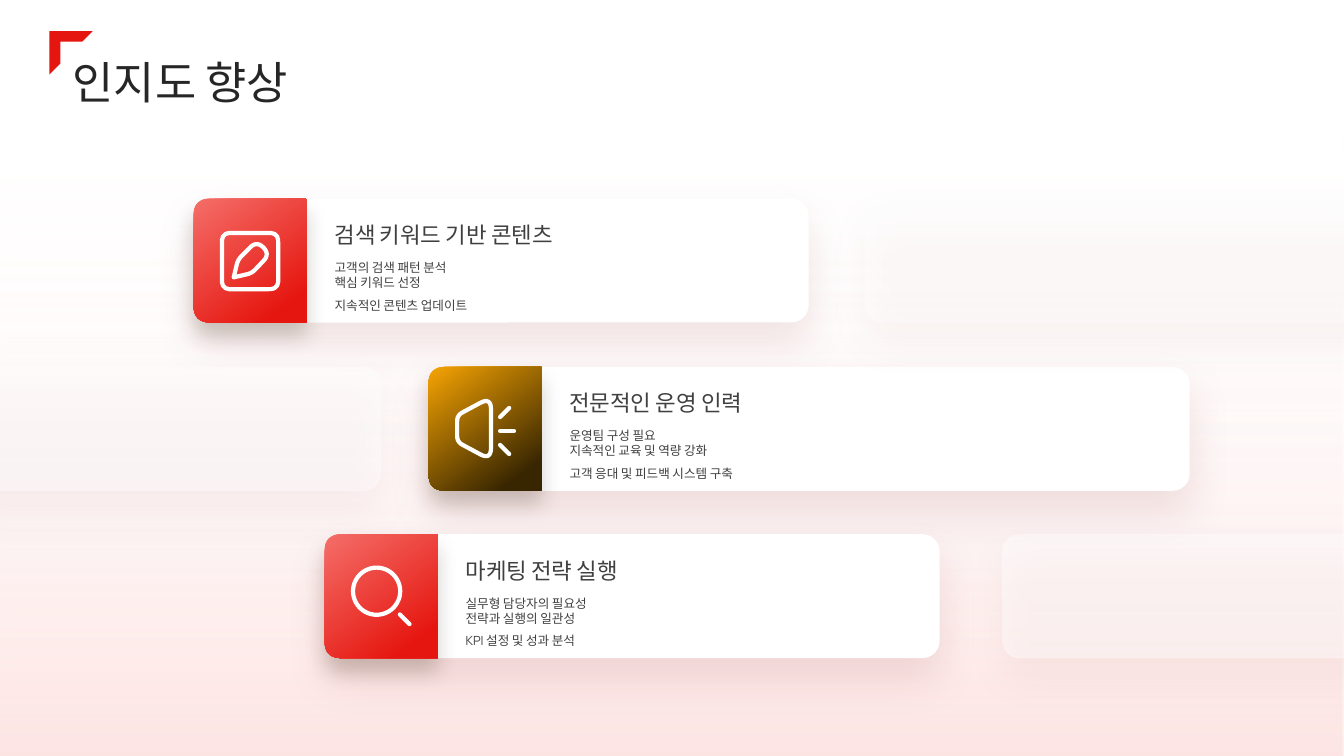
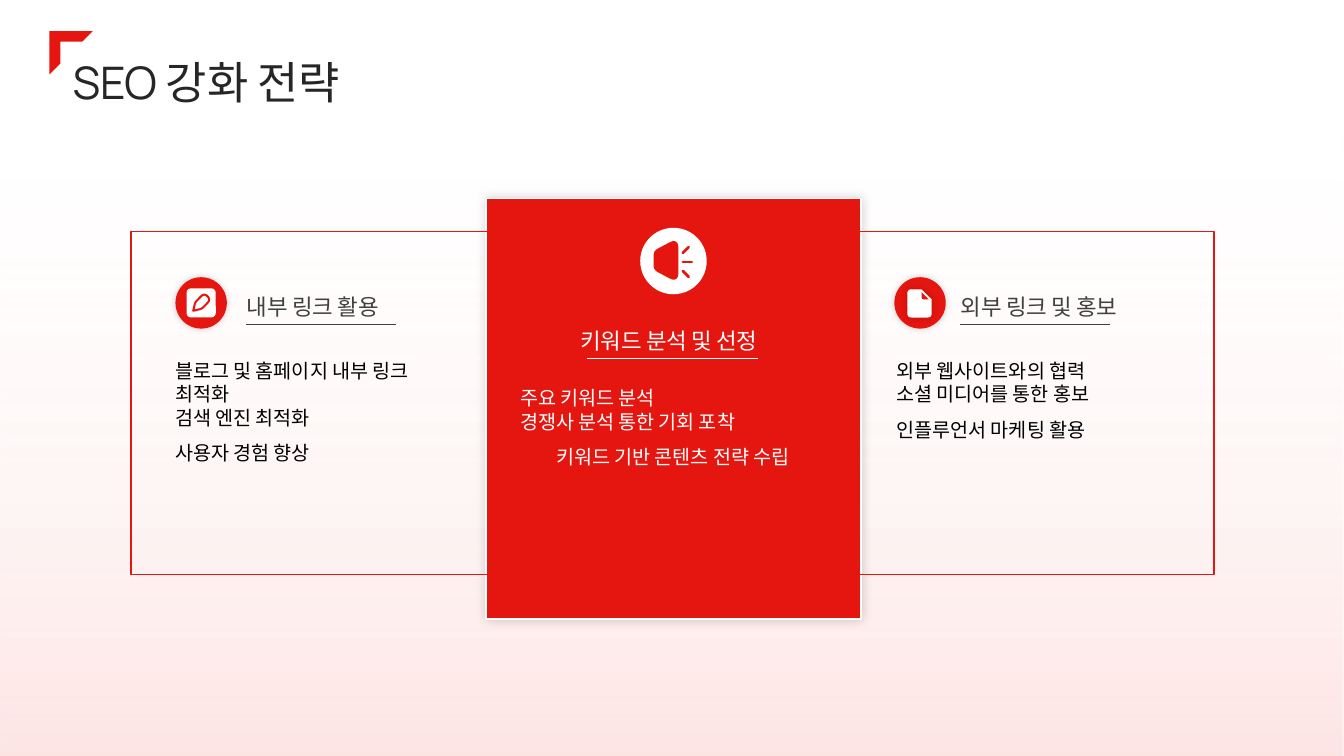
from dataclasses import dataclass
from typing import Callable, Optional

import pptx
import pptx.dml.color
import pptx.enum.shapes
import pptx.enum.text
import pptx.oxml
import pptx.oxml.ns
import pptx.presentation
import pptx.shapes.autoshape
import pptx.slide
import pptx.util
from lxml import etree

Inches = pptx.util.Inches
Shape = pptx.shapes.autoshape.Shape
Slide = pptx.slide.Slide
Preset = pptx.enum.shapes.MSO_SHAPE
Anchor = pptx.enum.text.MSO_ANCHOR
Align = pptx.enum.text.PP_ALIGN
qn = pptx.oxml.ns.qn

FONT = "Manrope"
WIDTH, HEIGHT = 13.33, 7.5
RED, WHITE, BLACK, GRAY, TITLE_COLOR = "E5160F", "FFFFFF", "000000", "404040", "262626"
ROSE = ("F56E69", RED)
AMBER = ("F6A403", "382601")
CARD_HEIGHT, CARD_ROUNDING = 1.23, 0.138
TILE_WIDTH, TILE_RADIUS = 1.12, 0.17


@dataclass(frozen=True)
class Shadow:
    color: str
    opacity: int
    blur: float
    distance: float = 0


@dataclass(frozen=True)
class Card:
    left: float
    top: float
    width: float
    heading: str
    lines: tuple[str, ...]
    tile: tuple[str, str]
    icon: Callable[..., None]
    icon_top: float


@dataclass(frozen=True)
class Panel:
    heading: str
    heading_box: tuple[float, float, float, float]
    lines: tuple[str, ...]
    body_box: tuple[float, float, float, float]
    rule_left: float
    rule_width: float
    heading_color: str = GRAY
    body_color: str = BLACK
    align: Align = Align.LEFT


CARD_SHADOW = Shadow("720B08", 10, 30, 15)
TILE_SHADOW = Shadow("261900", 20, 15, 10)
PANEL_SHADOW = Shadow(BLACK, 20, 8)
BADGE_SHADOW = Shadow(BLACK, 20, 5)


def rgb(color: str) -> pptx.dml.color.RGBColor:
    return pptx.dml.color.RGBColor.from_string(color)


def set_opacity(color_element: etree._Element, percent: float) -> None:
    alpha = etree.SubElement(color_element, qn("a:alpha"))
    alpha.set("val", str(round(percent * 1000)))


def style(shape: Shape, fill: Optional[str] = None, line: Optional[str] = None,
          weight: float = 1, shadow: Optional[Shadow] = None, opacity: float = 100) -> Shape:
    if fill:
        shape.fill.solid()
        shape.fill.fore_color.rgb = rgb(fill)
        if opacity < 100:
            set_opacity(shape._element.spPr.find(qn("a:solidFill"))[0], opacity)
    else:
        shape.fill.background()
    if line:
        shape.line.color.rgb = rgb(line)
        shape.line.width = pptx.util.Pt(weight)
    else:
        shape.line.fill.background()
    shape.shadow.inherit = False
    if shadow:
        effects = shape._element.spPr.find(qn("a:effectLst"))
        outer = etree.SubElement(effects, qn("a:outerShdw"), {
            "blurRad": str(pptx.util.Pt(shadow.blur)), "dist": str(pptx.util.Pt(shadow.distance)),
            "dir": "5400000", "algn": "ctr", "rotWithShape": "0"})
        color = etree.SubElement(outer, qn("a:srgbClr"), val=shadow.color)
        set_opacity(color, shadow.opacity)
    return shape


def set_gradient(shape: Shape, colors: tuple[str, str], end: float, angle: float,
                 opacities: tuple[int, int] = (100, 100)) -> None:
    """Linear gradient whose second colour is reached at end; angle is counter-clockwise."""
    shape.fill.gradient()
    shape.fill.gradient_angle = angle
    stops = shape.fill.gradient_stops
    for stop, color, position in zip(stops, colors, (0, end)):
        stop.color.rgb = rgb(color)
        stop.position = position
    gradient = shape._element.spPr.find(qn("a:gradFill"))
    for element, opacity in zip(gradient.iter(qn("a:srgbClr")), opacities):
        if opacity < 100:
            set_opacity(element, opacity)


def add_preset(slide: Slide, preset: Preset, left: float, top: float, width: float,
               height: float, adjustments: tuple[float, ...] = (), **look) -> Shape:
    shape = slide.shapes.add_shape(preset, Inches(left), Inches(top), Inches(width), Inches(height))
    for index, value in enumerate(adjustments):
        shape.adjustments[index] = value
    return style(shape, **look)


def add_outline(slide: Slide, left: float, top: float, size: float,
                corners: list[tuple[float, float, float]], **look) -> Shape:
    """Closed outline through (x, y, rounding) corners, in units of size."""
    points = []
    for index, (x, y, rounding) in enumerate(corners):
        if not rounding:
            points.append((x, y))
            continue
        ends = []
        for other_x, other_y, _ in (corners[index - 1], corners[(index + 1) % len(corners)]):
            share = rounding / ((other_x - x) ** 2 + (other_y - y) ** 2) ** 0.5
            ends.append((x + (other_x - x) * share, y + (other_y - y) * share))
        (ax, ay), (bx, by) = ends
        for step in range(9):
            t = step / 8
            a, c, b = (1 - t) ** 2, 2 * t * (1 - t), t ** 2
            points.append((a * ax + c * x + b * bx, a * ay + c * y + b * by))
    emu = [(Inches(left + x * size), Inches(top + y * size)) for x, y in points]
    builder = slide.shapes.build_freeform(*emu[0])
    builder.add_line_segments(emu[1:], close=True)
    return style(builder.convert_to_shape(), **look)


def add_line(slide: Slide, start: tuple[float, float], end: tuple[float, float],
             color: str, weight: float, cap: str = "flat") -> None:
    line = slide.shapes.add_connector(
        pptx.enum.shapes.MSO_CONNECTOR.STRAIGHT, *map(Inches, start + end))
    line.line.color.rgb = rgb(color)
    line.line.width = pptx.util.Pt(weight)
    properties = line._element.spPr
    properties.find(qn("a:ln")).set("cap", cap)
    etree.SubElement(properties, qn("a:effectLst"))


def format_paragraph(para, size: float, color: str, spacing: float, align: Align) -> None:
    para.alignment = align
    para.line_spacing = spacing
    for run in para.runs:
        run.font.size = pptx.util.Pt(size)
        run.font.name = FONT
        run.font.color.rgb = rgb(color)
        etree.SubElement(run.font._element, qn("a:ea"), typeface=FONT)


def add_text(slide: Slide, box: tuple[float, float, float, float], lines: tuple[str, ...],
             size: float, color: str, anchor: Anchor, spacing: float,
             align: Align = Align.LEFT) -> None:
    """Only the last line takes the wide spacing and the alignment."""
    frame = slide.shapes.add_textbox(*map(Inches, box)).text_frame
    frame.word_wrap = True
    frame.vertical_anchor = anchor
    frame.text = "\n".join(lines)
    *leading, last = frame.paragraphs
    for para in leading:
        format_paragraph(para, size, color, 1.0, Align.LEFT)
    format_paragraph(last, size, color, spacing, align)


def draw_pen(slide: Slide, left: float, top: float, size: float, ink: str,
             fill: Optional[str] = None) -> None:
    inset, weight = 0.035 * size, 5 * size
    inner = size - 2 * inset
    add_preset(slide, Preset.ROUNDED_RECTANGLE, left + inset, top + inset, inner, inner, (0.13,),
               fill=fill, line=fill or ink, weight=weight)
    nib = [(0.23, 0.77, 0), (0.3, 0.48, 0.08), (0.61, 0.165, 0.155),
           (0.83, 0.385, 0.155), (0.53, 0.7, 0.08)]
    add_outline(slide, left, top, size, nib, line=ink, weight=weight)


def draw_megaphone(slide: Slide, left: float, top: float, size: float, ink: str,
                   fill: Optional[str] = None) -> None:
    weight = 5 * size
    body = [(0.04, 0.25, 0.1), (0.6, -0.05, 0.2), (0.6, 0.99, 0.2), (0.04, 0.69, 0.1)]
    add_outline(slide, left, top, size, body, fill=fill, line=ink, weight=weight)
    for x1, y1, x2, y2 in ((0.75, 0.28, 0.9, 0.13), (0.75, 0.51, 0.98, 0.51),
                           (0.75, 0.74, 0.9, 0.89)):
        add_line(slide, (left + x1 * size, top + y1 * size),
                 (left + x2 * size, top + y2 * size), ink, weight, "rnd")


def draw_magnifier(slide: Slide, left: float, top: float, size: float, ink: str) -> None:
    weight = 5 * size
    inset, lens = 0.035 * size, 0.78 * size
    add_preset(slide, Preset.OVAL, left + inset, top + inset, lens, lens, line=ink, weight=weight)
    near, far = 0.81 * size, 0.97 * size
    add_line(slide, (left + near, top + near), (left + far, top + far), ink, weight, "rnd")


def draw_page(slide: Slide, left: float, top: float, size: float, ink: str, fill: str) -> None:
    sheet = [(0, 0, 0.15), (0.5, 0, 0), (0.86, 0.36, 0), (0.86, 1, 0.15), (0, 1, 0.15)]
    fold = [(0.5, 0.1, 0), (0.5, 0.36, 0.1), (0.76, 0.36, 0)]
    add_outline(slide, left, top, size, sheet, fill=fill, shadow=BADGE_SHADOW)
    add_outline(slide, left, top, size, fold, fill=ink)


def new_slide(deck: pptx.presentation.Presentation, title: str) -> Slide:
    slide = deck.slides.add_slide(deck.slide_layouts.get_by_name("Title Only"))
    wash = add_preset(slide, Preset.RECTANGLE, 0, 0, WIDTH, HEIGHT)
    set_gradient(wash, ("FCCFCD", WHITE), 0.88, 90, (54, 0))
    add_preset(slide, Preset.HALF_FRAME, 0.49, 0.31, 0.43, 0.43, (0.239, 0.252), fill=RED)
    box = slide.shapes.title
    box.left, box.top, box.width, box.height = map(Inches, (0.72, 0.53, 11.88, 0.51))
    frame = box.text_frame
    frame.text = title
    frame.word_wrap = True
    frame.auto_size = pptx.enum.text.MSO_AUTO_SIZE.NONE
    frame.vertical_anchor = Anchor.MIDDLE
    frame.margin_left = frame.margin_right = frame.margin_top = frame.margin_bottom = 0
    format_paragraph(frame.paragraphs[0], 32, TITLE_COLOR, 1.1, Align.LEFT)
    slide.shapes._spTree.append(box._element)
    return slide


def add_card_base(slide: Slide, left: float, top: float, width: float, opacity: float) -> None:
    add_preset(slide, Preset.ROUNDED_RECTANGLE, left, top, width, CARD_HEIGHT, (CARD_ROUNDING,),
               fill=WHITE, opacity=opacity, shadow=CARD_SHADOW)


def add_card(slide: Slide, card: Card) -> None:
    add_card_base(slide, card.left, card.top, card.width, 100)
    text_left, text_width = card.left + 1.3, card.width - 1.43
    add_text(slide, (text_left, card.top + 0.15, text_width, 0.39), (card.heading,),
             16, GRAY, Anchor.BOTTOM, 1.3)
    add_text(slide, (text_left, card.top + 0.53, text_width, 0.68), card.lines,
             9, GRAY, Anchor.MIDDLE, 1.5)
    corners = [(0, 0, TILE_RADIUS), (TILE_WIDTH, 0, 0), (TILE_WIDTH, CARD_HEIGHT, 0),
               (0, CARD_HEIGHT, TILE_RADIUS)]
    tile = add_outline(slide, card.left, card.top, 1, corners, shadow=TILE_SHADOW)
    set_gradient(tile, card.tile, 0.86, 306)
    card.icon(slide, card.left + 0.26, card.top + card.icon_top, 0.6, WHITE)


def add_panel(slide: Slide, panel: Panel) -> None:
    add_text(slide, panel.heading_box, (panel.heading,), 16, panel.heading_color,
             Anchor.BOTTOM, 1.3, panel.align)
    add_text(slide, panel.body_box, panel.lines, 14, panel.body_color, Anchor.TOP, 1.5,
             panel.align)
    rule_y = panel.heading_box[1] + panel.heading_box[3]
    add_line(slide, (panel.rule_left, rule_y), (panel.rule_left + panel.rule_width, rule_y),
             panel.heading_color, 0.5)


def build_awareness(deck: pptx.presentation.Presentation) -> None:
    slide = new_slide(deck, "인지도 향상")
    rows = [1.97, 3.64, 5.3]
    cards = [
        Card(1.92, rows[0], 6.1, "검색 키워드 기반 콘텐츠",
             ("고객의 검색 패턴 분석", "핵심 키워드 선정", "지속적인 콘텐츠 업데이트"),
             ROSE, draw_pen, 0.32),
        Card(4.25, rows[1], 7.55, "전문적인 운영 인력",
             ("운영팀 구성 필요", "지속적인 교육 및 역량 강화", "고객 응대 및 피드백 시스템 구축"),
             AMBER, draw_megaphone, 0.33),
        Card(3.22, rows[2], 6.1, "마케팅 전략 실행",
             ("실무형 담당자의 필요성", "전략과 실행의 일관성", "KPI 설정 및 성과 분석"),
             ROSE, draw_magnifier, 0.31),
    ]
    for card in cards:
        add_card(slide, card)
    for left, top in zip((8.58, -2.32, 9.94), rows):
        add_card_base(slide, left, top, 6.1, 40)


def build_strategy(deck: pptx.presentation.Presentation) -> None:
    slide = new_slide(deck, "SEO 강화 전략")
    add_preset(slide, Preset.RECTANGLE, 4.82, 1.97, 3.72, 4.17, fill=RED, line=WHITE,
               shadow=PANEL_SHADOW)
    for left in (8.42, 1.3):
        add_preset(slide, Preset.RECTANGLE, left, 2.3, 3.62, 3.4, line=RED)
    panels = [
        Panel("키워드 분석 및 선정", (5.02, 2.98, 3.23, 0.58),
              ("주요 키워드 분석", "경쟁사 분석 통한 기회 포착", "키워드 기반 콘텐츠 전략 수립"),
              (5.06, 3.78, 3.23, 2.26), 5.82, 1.7, WHITE, WHITE, Align.CENTER),
        Panel("내부 링크 활용", (2.35, 2.76, 2.29, 0.46),
              ("블로그 및 홈페이지 내부 링크 최적화", "검색 엔진 최적화", "사용자 경험 향상"),
              (1.64, 3.51, 2.95, 2.05), 2.44, 1.49),
        Panel("외부 링크 및 홍보", (9.43, 2.76, 2.29, 0.46),
              ("외부 웹사이트와의 협력", "소셜 미디어를 통한 홍보", "인플루언서 마케팅 활용"),
              (8.79, 3.51, 2.95, 2.05), 9.52, 1.49),
    ]
    for panel in panels:
        add_panel(slide, panel)
    for left in (1.74, 8.87):
        add_preset(slide, Preset.OVAL, left, 2.75, 0.51, 0.51, fill=RED, shadow=BADGE_SHADOW)
    add_preset(slide, Preset.OVAL, 6.35, 2.26, 0.66, 0.66, fill=WHITE)
    draw_pen(slide, 1.85, 2.86, 0.29, RED, WHITE)
    draw_page(slide, 9, 2.87, 0.28, RED, WHITE)
    draw_megaphone(slide, 6.48, 2.4, 0.39, RED, RED)


def main() -> None:
    deck = pptx.Presentation()
    deck.slide_width, deck.slide_height = Inches(WIDTH), Inches(HEIGHT)
    build_awareness(deck)
    build_strategy(deck)
    deck.save("out.pptx")


if __name__ == "__main__":
    main()
